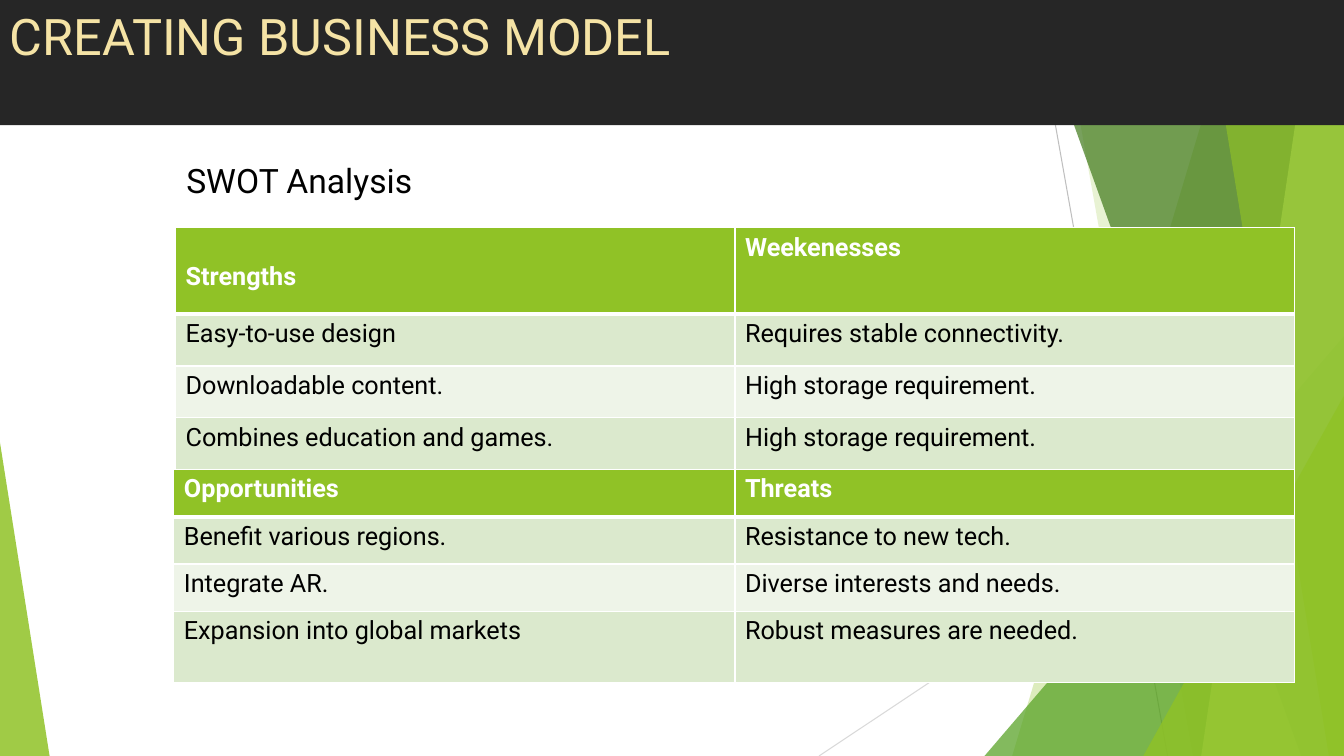
from pptx import Presentation
from pptx.dml.color import RGBColor
from pptx.enum.shapes import MSO_CONNECTOR, MSO_SHAPE as Shape
from pptx.enum.text import MSO_ANCHOR as Anchor, PP_ALIGN as Align
from pptx.oxml.ns import qn
from pptx.util import Inches, Pt
from lxml.etree import SubElement

COLS, ROWS = 160, 90
COLORS = {
    "white": "FFFFFF", "black": "000000", "dark": "262626", "cream": "F5E3A5",
    "green": "90C226", "leaf": "54A021", "forest": "3F7819", "lime": "C0E474",
    "band": "DBE9CD", "pale": "EEF4E8", "gray": "BFBFBF", "silver": "D9D9D9",
}


def rgb(name):
    return RGBColor.from_string(COLORS[name])


class SlideBuilder:
    """Places elements on a grid of 160 columns by 90 rows."""

    font = "Roboto"

    def __init__(self, deck):
        self.unit_x = deck.slide_width / COLS
        self.unit_y = deck.slide_height / ROWS
        self.shapes = deck.slides.add_slide(deck.slide_layouts[6]).shapes

    def x(self, columns):
        return round(columns * self.unit_x)

    def y(self, rows):
        return round(rows * self.unit_y)

    def box(self, left, top, width, height):
        return self.x(left), self.y(top), self.x(width), self.y(height)

    def paint(self, shape, color, opacity=100):
        shape.shadow.inherit = False
        shape.fill.solid()
        shape.fill.fore_color.rgb = rgb(color)
        shape.line.fill.background()
        if opacity < 100:
            tint = shape._element.spPr.find(qn("a:solidFill"))[0]
            SubElement(tint, qn("a:alpha"), val=str(opacity * 1000))

    def line(self, start, end, color):
        line = self.shapes.add_connector(
            MSO_CONNECTOR.STRAIGHT, self.x(start[0]), self.y(start[1]),
            self.x(end[0]), self.y(end[1]))
        line.line.color.rgb = rgb(color)
        line.line.width = Pt(0.75)
        SubElement(line._element.spPr, qn("a:effectLst"))

    def panel(self, top_left, bottom_left, color, opacity):
        """A slanted panel that reaches the right edge of the slide."""
        outline = self.shapes.build_freeform(self.x(top_left), 0)
        corners = [(COLS, 0), (COLS, ROWS), (bottom_left, ROWS)]
        outline.add_line_segments([(self.x(c), self.y(r)) for c, r in corners])
        self.paint(outline.convert_to_shape(), color, opacity)

    def triangle(self, area, apex, color, opacity):
        corner = self.shapes.add_shape(Shape.ISOSCELES_TRIANGLE, *self.box(*area))
        corner.adjustments[0] = apex
        self.paint(corner, color, opacity)

    def put_text(self, frame, text, size, color, bold=False):
        frame.word_wrap = True
        paragraph = frame.paragraphs[0]
        paragraph.alignment = Align.LEFT
        run = paragraph.add_run()
        run.text = text
        for name, value in {"name": self.font, "size": Pt(size), "bold": bold}.items():
            setattr(run.font, name, value)
        run.font.color.rgb = rgb(color)

    def banner(self, area, text):
        banner = self.shapes.add_shape(Shape.RECTANGLE, *self.box(*area))
        self.paint(banner, "dark")
        banner.text_frame.vertical_anchor = Anchor.TOP
        self.put_text(banner.text_frame, text, 36, "cream")

    def label(self, area, text):
        label = self.shapes.add_textbox(*self.box(*area))
        self.put_text(label.text_frame, text, 24, "black")

    def border(self, cell, widths):
        for side, width in widths.items():
            edge = SubElement(cell._tc.get_or_add_tcPr(), qn(f"a:ln{side}"),
                              w=str(int(Pt(width))))
            SubElement(SubElement(edge, qn("a:solidFill")), qn("a:srgbClr"),
                       val=COLORS["white"])

    def table(self, left, top, widths, heights, rows):
        area = self.box(left, top, sum(widths), sum(heights))
        table = self.shapes.add_table(len(rows), len(widths), *area).table
        for column, width in zip(table.columns, widths):
            column.width = self.x(width)
        for r, (height, texts) in enumerate(zip(heights, rows)):
            table.rows[r].height = self.y(height)
            header = r == 0
            fill = "green" if header else ("pale", "band")[r % 2]
            for c, text in enumerate(texts):
                cell = table.cell(r, c)
                self.border(cell, {"L": 1, "R": 1, "T": 3 if r == 1 else 1,
                                   "B": 3 if header else 1})
                cell.fill.solid()
                cell.fill.fore_color.rgb = rgb(fill)
                self.put_text(cell.text_frame, text, 18,
                              "white" if header else "black", header)
        return table


def main():
    deck = Presentation()
    deck.slide_width, deck.slide_height = Inches(13.33), Inches(7.5)
    slide = SlideBuilder(deck)

    # Faceted green background
    slide.line((123, 0), (139, ROWS), "gray")
    slide.line((COLS, 48.4), (97.5, ROWS), "silver")
    slide.panel(147.4, 120.5, "green", 30)
    slide.panel(126, 142, "green", 20)
    slide.triangle((117.2, 40, 42.8, 50), 1, "leaf", 72)
    slide.panel(122.5, 154.9, "forest", 70)
    slide.panel(156.4, 143, "lime", 70)
    slide.panel(143.5, 158.2, "green", 65)
    slide.triangle((136.1, 47.1, 23.9, 42.9), 1, "green", 80)
    slide.triangle((0, 52.7, 5.9, 37.3), 0, "green", 85)

    # Title
    slide.banner((0, 0, COLS, 14.9), "CREATING BUSINESS MODEL")

    # SWOT tables
    internal = slide.table(20.9, 27.1, [66.6, 66.6], [10.3] + [6.17] * 3, [
        ("Strengths", "Weekenesses"),
        ("Easy-to-use design", "Requires stable connectivity."),
        ("Downloadable content.", "High storage requirement."),
        ("Combines education and games.", "High storage requirement."),
    ])
    internal.cell(0, 0).margin_top = Inches(0.34)
    slide.table(20.7, 55.9, [66.8, 66.6], [5.63] * 3 + [8.5], [
        ("Opportunities", "Threats"),
        ("Benefit various regions.", "Resistance to new tech."),
        ("Integrate AR.", "Diverse interests and needs."),
        ("Expansion into global markets", "Robust measures are needed."),
    ])

    # Subtitle
    slide.label((21, 18.4, 49.4, 6), "SWOT Analysis")

    deck.save("out.pptx")


if __name__ == "__main__":
    main()
